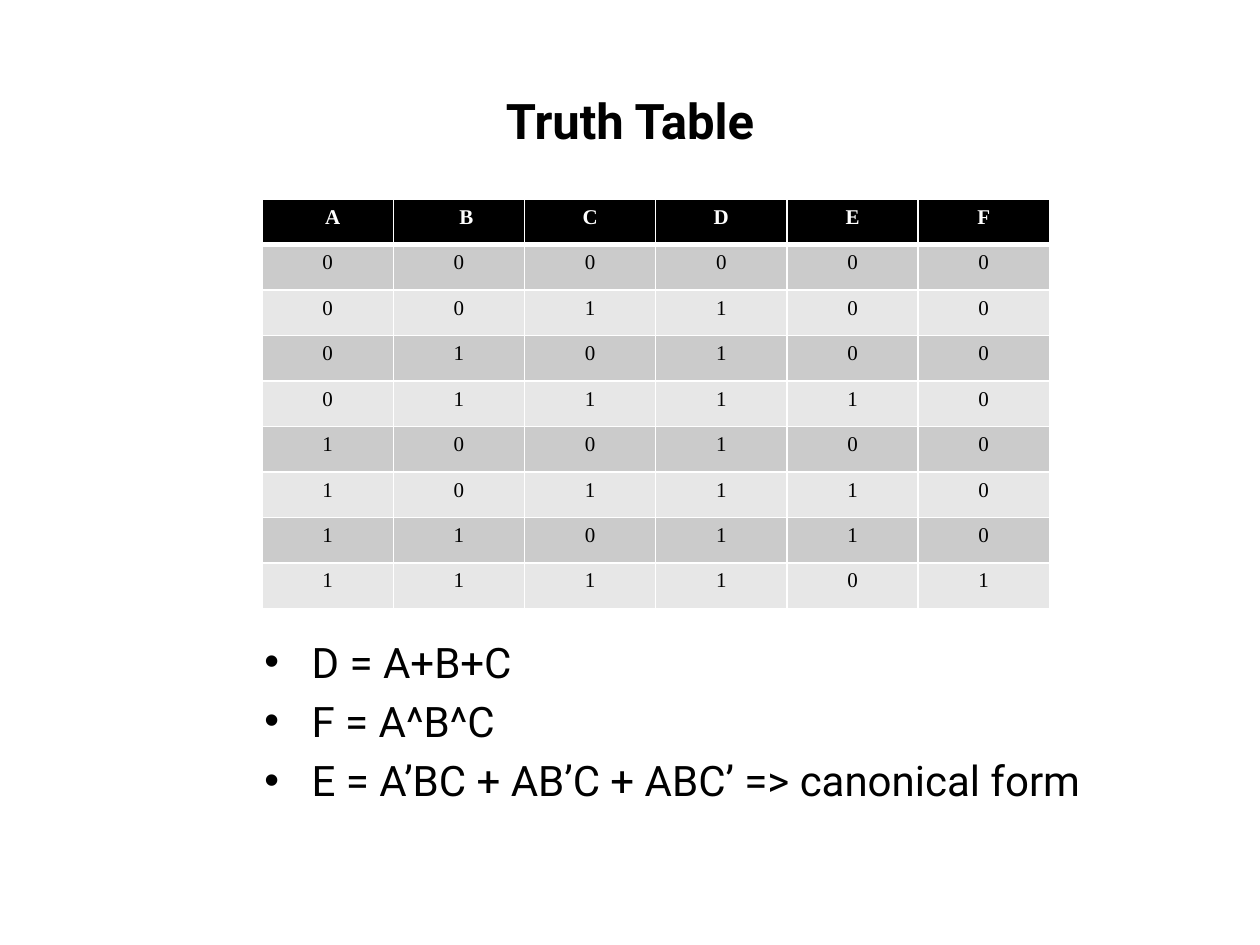
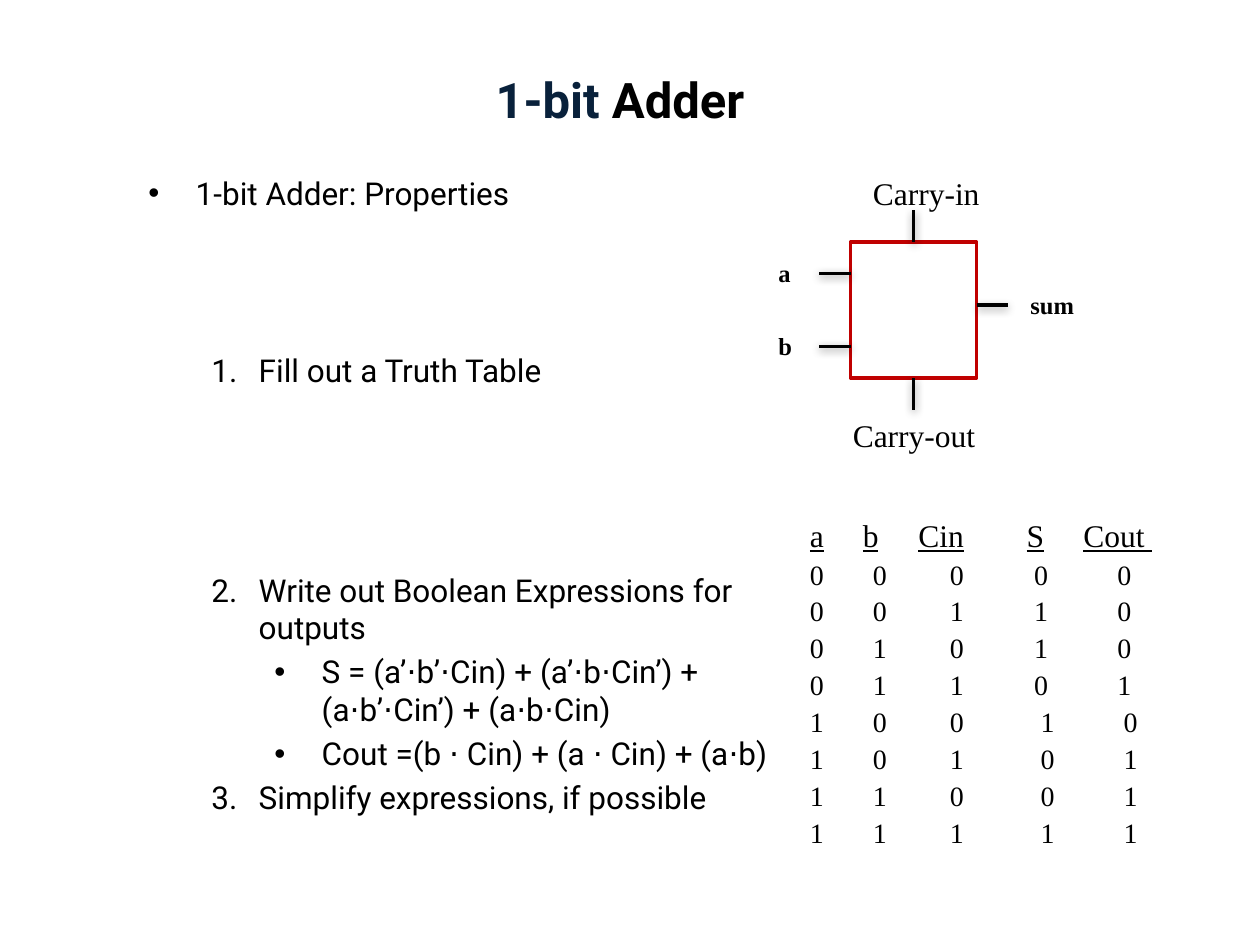
from lxml import etree
from pptx import Presentation
from pptx.dml.color import RGBColor
from pptx.enum.shapes import MSO_CONNECTOR, MSO_SHAPE
from pptx.enum.text import PP_ALIGN
from pptx.oxml.ns import qn
from pptx.util import Emu, Inches, Pt

LINE = MSO_CONNECTOR.STRAIGHT
RECT = MSO_SHAPE.RECTANGLE
LEFT, CENTER = PP_ALIGN.LEFT, PP_ALIGN.CENTER

BLACK, WHITE, NAVY, RED = "000000", "FFFFFF", "09213B", "C00000"
BANDS = ["CBCBCB", "E7E7E7"]
SANS, SERIF = "Roboto", "Times New Roman"
HANG = 0.375


def color(code):
    return RGBColor.from_string(code)


def node(parent, tag, **attrs):
    item = etree.SubElement(parent, qn(tag))
    for key, value in attrs.items():
        item.set(key, str(value))
    return item


class Deck:
    def __init__(self):
        self.prs = Presentation()
        self.prs.slide_width, self.prs.slide_height = Inches(10), Inches(7.5)
        self.slide = None

    def page(self):
        self.slide = self.prs.slides.add_slide(self.prs.slide_layouts[6])

    def run(self, para, text, tint=BLACK, **style):
        run = para.add_run()
        run.text = text
        for key, value in style.items():
            setattr(run.font, key, value)
        run.font.color.rgb = color(tint)

    def box(self, x, y, w, h):
        frame = self.slide.shapes.add_textbox(
            Inches(x), Inches(y), Inches(w), Inches(h)).text_frame
        frame.word_wrap = True
        return frame

    def paras(self, frame, count):
        yield frame.paragraphs[0]
        for _ in range(count - 1):
            yield frame.add_paragraph()

    def title(self, x, y, parts):
        para = self.box(x, y, 8.5, 0.71).paragraphs[0]
        para.alignment = CENTER
        for text, tint in parts:
            self.run(para, text, tint, name=SANS, size=Pt(28), bold=True)

    def label(self, x, y, w, text, **style):
        para = self.box(x, y, w, 0.4).paragraphs[0]
        self.run(para, text, name=SERIF, **style)

    def bullets(self, x, y, w, h, size, items):
        """Each item: level, number (None for a dot), space before, text."""
        frame = self.box(x, y, w, h)
        for para, item in zip(self.paras(frame, len(items)), items):
            level, number, gap, text = item
            para.level = level
            props = para._p.get_or_add_pPr()
            props.set("marL", str(Inches(HANG + level * 0.5)))
            props.set("indent", str(-Inches(HANG)))
            if number:
                node(props, "a:buAutoNum", type="arabicPeriod", startAt=number)
            else:
                node(props, "a:buFont", typeface="Arial")
                node(props, "a:buChar", char="•")
            if gap:
                para.space_before = Pt(gap)
            self.run(para, text, name=SANS, size=Pt(size))

    def columns(self, x, y, w, h, rows):
        """Each row: cells, tab stops, format values."""
        frame = self.box(x, y, w, h)
        for i, para in enumerate(self.paras(frame, len(rows))):
            cells, stops, style = rows[i]
            tabs = node(para._p.get_or_add_pPr(), "a:tabLst")
            for stop in stops:
                node(tabs, "a:tab", pos=Inches(stop), algn="l")
            para.alignment = LEFT
            para.line_spacing = 0.9
            if i:
                para.space_before = Pt(3.8)
            self.run(para, "\t".join(cells), name=SERIF, **style)

    def square(self, x, y, w, h, tint):
        shape = self.slide.shapes.add_shape(
            RECT, Inches(x), Inches(y), Inches(w), Inches(h))
        shape.shadow.inherit = False
        shape.fill.solid()
        shape.fill.fore_color.rgb = color(WHITE)
        shape.line.color.rgb = color(tint)
        shape.line.width = Pt(2)

    def wire(self, x1, y1, x2, y2):
        line = self.slide.shapes.add_connector(
            LINE, Inches(x1), Inches(y1), Inches(x2), Inches(y2))
        line.line.color.rgb = color(BLACK)
        line.line.width = Pt(2)
        effects = node(line._element.spPr, "a:effectLst")
        shadow = node(effects, "a:outerShdw", blurRad=Pt(5), dist=Pt(1.6),
                      dir=90 * 60000, rotWithShape=0)
        tint = node(shadow, "a:srgbClr", val=BLACK)
        node(tint, "a:alpha", val=38000)

    def cell(self, cell, text, fill, tint, bold, edges):
        props = cell._tc.get_or_add_tcPr()
        for side, width in zip("LRTB", edges):
            edge = node(props, f"a:ln{side}", w=Pt(width))
            node(node(edge, "a:solidFill"), "a:srgbClr", val=WHITE)
        cell.fill.solid()
        cell.fill.fore_color.rgb = color(fill)
        para = cell.text_frame.paragraphs[0]
        para.alignment = CENTER
        self.run(para, text, tint, name=SERIF, size=Pt(12), bold=bold)

    def table(self, x, y, w, h, rows):
        count, width = len(rows), len(rows[0])
        table = self.slide.shapes.add_table(
            count, width, Inches(x), Inches(y), Inches(w), Inches(h)).table
        for col in table.columns:
            col.width = Emu(Inches(w) // width)
        for r, texts in enumerate(rows):
            table.rows[r].height = Emu(Inches(h) // count)
            head = r == 0
            fill = BLACK if head else BANDS[(r - 1) % 2]
            edges = (1, 1, 3 if r == 1 else 1, 3 if head else 1)
            for c, text in enumerate(texts):
                self.cell(table.cell(r, c), text, fill,
                          WHITE if head else BLACK, head, edges)
        return table


def truth(deck):
    deck.page()
    deck.bullets(1, 5, 8.5, 1.33, 24, [
        (2, None, 0, "D = A+B+C"),
        (2, None, 5, "F = A^B^C"),
        (2, None, 5, "E = A’BC + AB’C + ABC’ => canonical form"),
    ])
    rows = ["ABCDEF", "000000", "001100", "010100", "011110",
            "100100", "101110", "110110", "111101"]
    table = deck.table(2.08, 1.58, 6.25, 3.25, rows)
    # The first two headings sit a little right of centre
    for c, inset in enumerate([0.18, 0.22]):
        table.cell(0, c).margin_left = Inches(inset)
    deck.title(0.75, 0.67, [("Truth Table", BLACK)])


def adder(deck):
    deck.page()
    # Adder block with its wires
    deck.square(6.75, 1.92, 1, 1.08, RED)
    for y in (2.17, 2.75):
        deck.wire(6.5, y, 6.75, y)
    for y in (1.67, 3):
        deck.wire(7.25, y, 7.25, y + 0.25)
    deck.wire(7.75, 2.42, 8, 2.42)
    for x, y, w, text in [(6.08, 2, 0.33, "a"), (6.08, 2.58, 0.33, "b"),
                          (8.08, 2.25, 0.67, "sum")]:
        deck.label(x, y, w, text, size=Pt(14), bold=True)
    for x, y, w, text in [(6.67, 3.25, 1.83, "Carry-out"),
                          (6.83, 1.33, 1.5, "Carry-in")]:
        deck.label(x, y, w, text, size=Pt(18))

    # Steps
    deck.bullets(1.08, 1.33, 5.25, 5.58, 18, [
        (0, None, 0, "1-bit Adder: Properties"),
        (1, 1, 79.5, "Fill out a Truth Table"),
        (1, 2, 104, "Write out Boolean Expressions for outputs"),
        (2, None, 3.6,
         "S = (a’⋅b’⋅Cin) + (a’⋅b⋅Cin’) + (a⋅b’⋅Cin’) + (a⋅b⋅Cin)"),
        (2, None, 3.6, "Cout =(b ⋅ Cin) + (a ⋅ Cin) + (a⋅b)"),
        (1, 3, 3.6, "Simplify expressions, if possible"),
    ])

    # Truth table set in tabbed columns
    head = {"size": Pt(18), "underline": True}
    body = {"size": Pt(16)}
    upper, lower = (0.5, 1.11, 1.78, 2.44), (0.5, 1.11, 1.83, 2.49)
    rows = [(["a", "b", "Cin", "S", "Cout "], (0.42, 0.86, 1.72, 2.17), head)]
    rows += [(bits, upper, body)
             for bits in ("00000", "00110", "01010", "01101")]
    rows += [(bits, lower, body)
             for bits in ("10010", "10101", "11001", "11111")]
    deck.columns(6.33, 4.08, 3.25, 2.74, rows)
    deck.title(0.67, 0.5, [("1-bit ", NAVY), ("Adder", BLACK)])


def main():
    deck = Deck()
    truth(deck)
    adder(deck)
    deck.prs.save("out.pptx")


if __name__ == "__main__":
    main()
